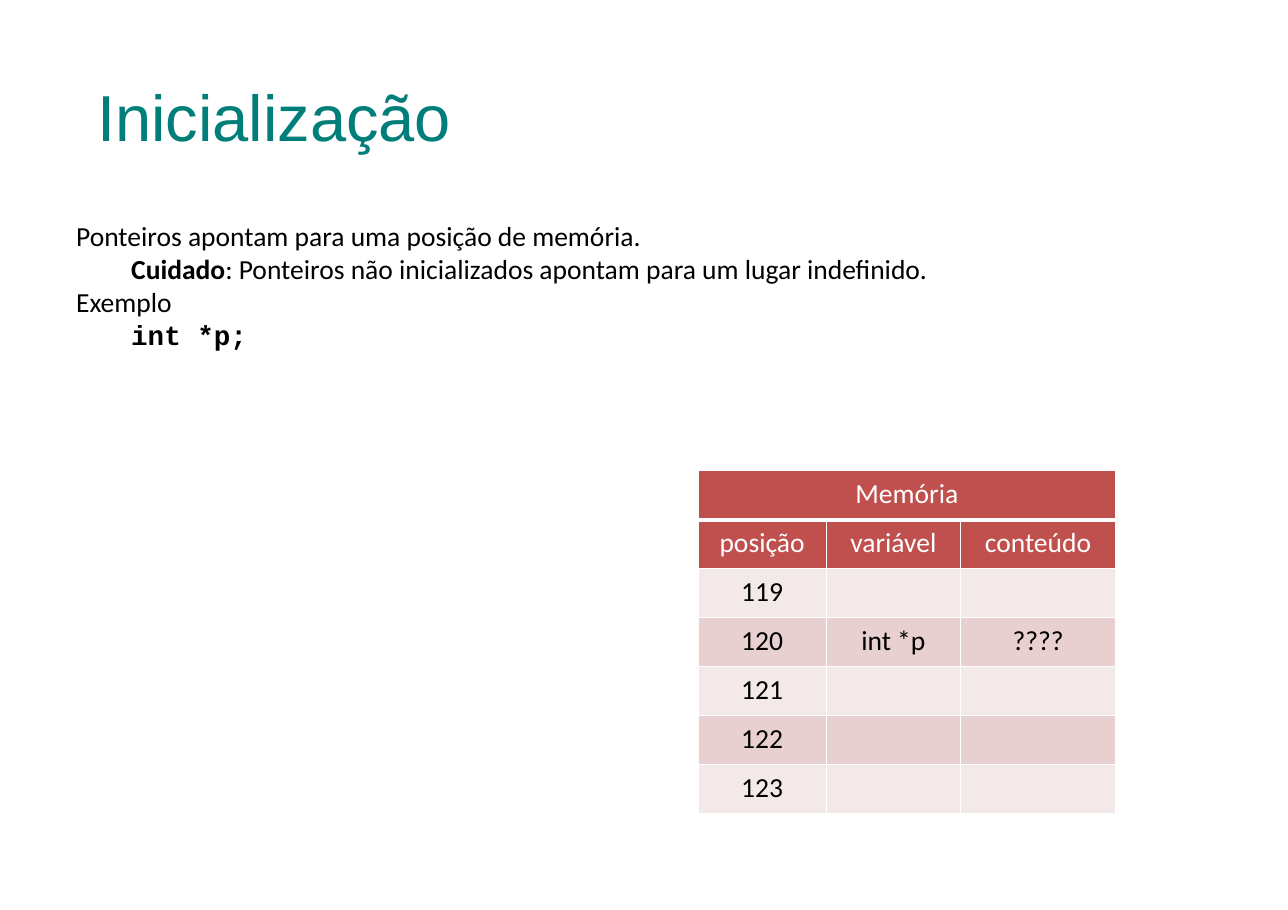
from dataclasses import dataclass

from lxml import etree
from pptx import Presentation
from pptx.dml.color import RGBColor
from pptx.enum.text import MSO_ANCHOR, MSO_AUTO_SIZE, PP_ALIGN
from pptx.oxml.ns import qn
from pptx.util import Emu, Pt

EMU_PER_PX = 8313  # 110 px to the inch
TOP = MSO_ANCHOR.TOP
NO_AUTOFIT = MSO_AUTO_SIZE.NONE
LEFT, CENTER = PP_ALIGN.LEFT, PP_ALIGN.CENTER

COLORS = {
    "title": "007F7A",
    "text": "000000",
    "white": "FFFFFF",
    "header": "C0504D",
    "light_row": "F4E9E9",
    "dark_row": "E8D0D0",
}


@dataclass
class Box:
    left: int
    top: int
    width: int
    height: int


@dataclass
class Span:
    text: str
    size: float = 18
    font: str = "Calibri"
    color: str = "text"
    bold: bool = False


@dataclass
class Line:
    spans: list[Span]
    level: int = 0


TITLE = [Line([Span("Inicialização", 42.5, "Arial", "title")])]
BODY = [
    Line([Span("Ponteiros apontam para uma posição de memória.")]),
    Line([Span("Cuidado", bold=True),
          Span(": Ponteiros não inicializados apontam para um lugar indefinido.")], 1),
    Line([Span("Exemplo")]),
    Line([Span("int *p;", font="Courier New", bold=True)], 1),
]
MEMORY = [
    ("Memória", "", ""),
    ("posição", "variável", "conteúdo"),
    ("119", "", ""),
    ("120", "int *p", "????"),
    ("121", "", ""),
    ("122", "", ""),
    ("123", "", ""),
]
HEADER_ROWS = 2
COLUMN_WIDTHS = (128, 134, 155)
ROW_HEIGHT = 49


def px(length: int) -> Emu:
    return Emu(length * EMU_PER_PX)


def rgb(name: str) -> RGBColor:
    return RGBColor.from_string(COLORS[name])


def add_span(para, span: Span) -> None:
    run = para.add_run()
    run.text = span.text
    run.font.size = Pt(span.size)
    run.font.name = span.font
    run.font.bold = span.bold
    run.font.color.rgb = rgb(span.color)


def set_margins(target, side: int, top: int, bottom: int) -> None:
    target.margin_left = target.margin_right = px(side)
    target.margin_top, target.margin_bottom = px(top), px(bottom)


def fill_placeholder(holder, box: Box, lines: list[Line],
                     side: int, top: int, bottom: int) -> None:
    holder.left, holder.top = px(box.left), px(box.top)
    holder.width, holder.height = px(box.width), px(box.height)
    frame = holder.text_frame
    frame.word_wrap = True
    frame.auto_size = NO_AUTOFIT
    frame.vertical_anchor = TOP
    set_margins(frame, side, top, bottom)
    for index, line in enumerate(lines):
        para = frame.add_paragraph() if index else frame.paragraphs[0]
        para.level = line.level
        para.alignment = LEFT
        para.space_before = Pt(0)
        for span in line.spans:
            add_span(para, span)


def add_borders(cell, bottom_width: int) -> None:
    """Draw white lines, 1 pt wide except at the bottom."""
    properties = cell._tc.get_or_add_tcPr()
    for side, width in (("L", 1), ("R", 1), ("T", 1), ("B", bottom_width)):
        border = etree.SubElement(properties, qn(f"a:ln{side}"), w=str(Pt(width)))
        fill = etree.SubElement(border, qn("a:solidFill"))
        etree.SubElement(fill, qn("a:srgbClr"), val=COLORS["white"])


def add_memory_table(page, left: int, top: int) -> None:
    table = page.shapes.add_table(
        len(MEMORY), len(COLUMN_WIDTHS), px(left), px(top),
        px(sum(COLUMN_WIDTHS)), px(ROW_HEIGHT * len(MEMORY))).table
    table.first_row = table.horz_banding = False
    for column, width in zip(table.columns, COLUMN_WIDTHS):
        column.width = px(width)
    for row_index, texts in enumerate(MEMORY):
        table.rows[row_index].height = px(ROW_HEIGHT)
        is_header = row_index < HEADER_ROWS
        banding = "dark_row" if row_index % 2 else "light_row"
        for column_index, text in enumerate(texts):
            cell = table.cell(row_index, column_index)
            add_borders(cell, 1 if row_index else 3)
            cell.fill.solid()
            cell.fill.fore_color.rgb = rgb("header" if is_header else banding)
            set_margins(cell, 13, 7, 7)
            para = cell.text_frame.paragraphs[0]
            para.alignment = CENTER
            if text:
                add_span(para, Span(text, color="white" if is_header else "text"))
    table.cell(0, 0).merge(table.cell(0, len(COLUMN_WIDTHS) - 1))


def main() -> None:
    deck = Presentation()
    deck.slide_width, deck.slide_height = px(1286), px(909)
    page = deck.slides.add_slide(deck.slide_layouts[0])
    fill_placeholder(page.shapes.title, Box(97, 69, 1093, 72), TITLE, 0, 7, 0)
    fill_placeholder(page.placeholders[1], Box(64, 212, 1050, 646), BODY, 12, 7, 7)
    add_memory_table(page, 697, 470)
    deck.save("out.pptx")


if __name__ == "__main__":
    main()
